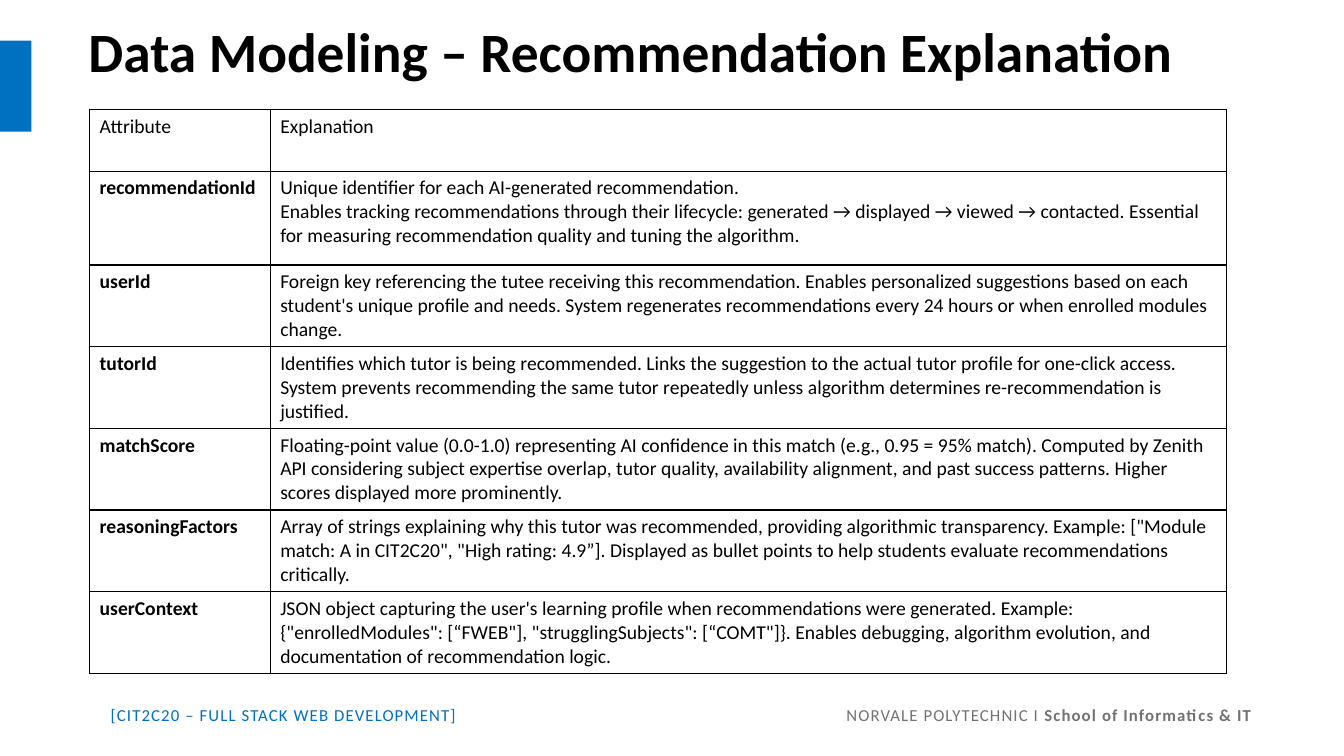
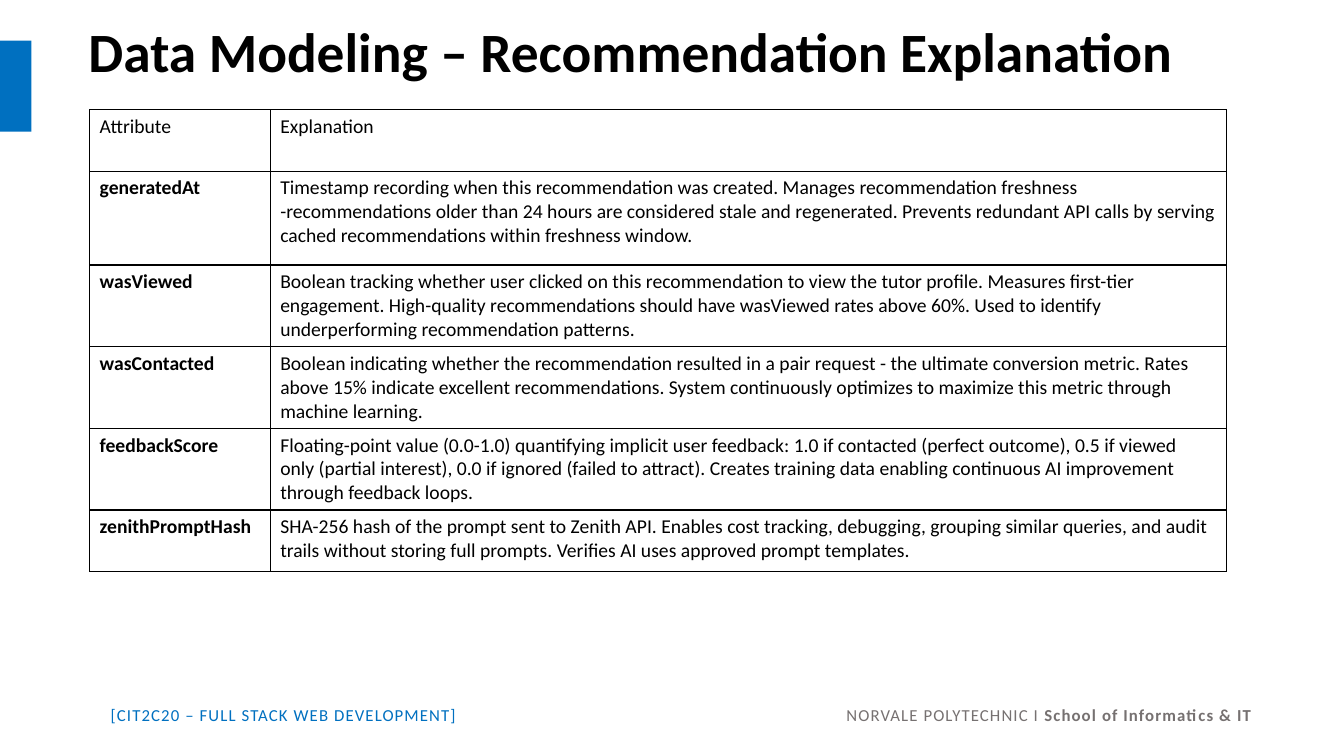
from dataclasses import dataclass

from lxml import etree
from pptx import Presentation
from pptx.dml.color import RGBColor
from pptx.enum import shapes, text
from pptx.oxml.ns import qn
from pptx.util import Pt


@dataclass(frozen=True)
class Theme:
    font: str = "Calibri"
    accent: RGBColor = RGBColor(0x00, 0x70, 0xC0)
    ink: RGBColor = RGBColor(0, 0, 0)
    muted: RGBColor = RGBColor(0x76, 0x71, 0x71)
    title_size: float = 39.6
    table_size: float = 14
    footer_size: float = 12
    footer_spacing: float = 0.8
    border_width: float = 1


THEME = Theme()
TITLE = "Data Modeling – Recommendation Explanation"
COURSE = "[CIT2C20 – FULL STACK WEB DEVELOPMENT]"
COLLEGE = "NORVALE POLYTECHNIC I "
SCHOOL = "School of Informatics & IT"
HEADINGS = ("Attribute", "Explanation")
COLUMN_WIDTHS = (129, 683)
ROW_HEIGHT = 43.8
FIRST_ATTRIBUTE_HEIGHT = 67

ATTRIBUTE_PAGES = [
    [
        ("recommendationId",
         "Unique identifier for each AI-generated recommendation.\n"
         "Enables tracking recommendations through their lifecycle: generated → displayed → "
         "viewed → contacted. Essential for measuring recommendation quality and tuning the "
         "algorithm."),
        ("userId",
         "Foreign key referencing the tutee receiving this recommendation. Enables personalized "
         "suggestions based on each student's unique profile and needs. System regenerates "
         "recommendations every 24 hours or when enrolled modules change."),
        ("tutorId",
         "Identifies which tutor is being recommended. Links the suggestion to the actual tutor "
         "profile for one-click access. System prevents recommending the same tutor repeatedly "
         "unless algorithm determines re-recommendation is justified."),
        ("matchScore",
         "Floating-point value (0.0-1.0) representing AI confidence in this match (e.g., 0.95 = "
         "95% match). Computed by Zenith API considering subject expertise overlap, tutor "
         "quality, availability alignment, and past success patterns. Higher scores displayed "
         "more prominently."),
        ("reasoningFactors",
         "Array of strings explaining why this tutor was recommended, providing algorithmic "
         "transparency. Example: [\"Module match: A in CIT2C20\", \"High rating: 4.9”]. "
         "Displayed as bullet points to help students evaluate recommendations critically."),
        ("userContext",
         "JSON object capturing the user's learning profile when recommendations were "
         "generated. Example: {\"enrolledModules\": [“FWEB\"], \"strugglingSubjects\": "
         "[“COMT\"]}. Enables debugging, algorithm evolution, and documentation of "
         "recommendation logic."),
    ],
    [
        ("generatedAt",
         "Timestamp recording when this recommendation was created. Manages recommendation "
         "freshness -recommendations older than 24 hours are considered stale and regenerated. "
         "Prevents redundant API calls by serving cached recommendations within freshness "
         "window."),
        ("wasViewed",
         "Boolean tracking whether user clicked on this recommendation to view the tutor "
         "profile. Measures first-tier engagement. High-quality recommendations should have "
         "wasViewed rates above 60%. Used to identify underperforming recommendation patterns."),
        ("wasContacted",
         "Boolean indicating whether the recommendation resulted in a pair request - the "
         "ultimate conversion metric. Rates above 15% indicate excellent recommendations. "
         "System continuously optimizes to maximize this metric through machine learning."),
        ("feedbackScore",
         "Floating-point value (0.0-1.0) quantifying implicit user feedback: 1.0 if contacted "
         "(perfect outcome), 0.5 if viewed only (partial interest), 0.0 if ignored (failed to "
         "attract). Creates training data enabling continuous AI improvement through feedback "
         "loops."),
        ("zenithPromptHash",
         "SHA-256 hash of the prompt sent to Zenith API. Enables cost tracking, debugging, "
         "grouping similar queries, and audit trails without storing full prompts. Verifies AI "
         "uses approved prompt templates."),
    ],
]


def style(paragraph, size, color, bold=False):
    font = paragraph.font
    font.name, font.size, font.bold = THEME.font, Pt(size), bold
    font.color.rgb = color


def add_band(slide):
    band = slide.shapes.add_shape(
        shapes.MSO_SHAPE.RECTANGLE, 0, Pt(29), Pt(22.5), Pt(65))
    band.shadow.inherit = False
    band.fill.solid()
    band.fill.fore_color.rgb = THEME.accent
    band.line.fill.background()


def add_title(slide, wording):
    title = slide.shapes.title
    title.left, title.top, title.width, title.height = Pt(56), 0, Pt(829), Pt(78.5)
    frame = title.text_frame
    frame.text = wording
    frame.vertical_anchor = text.MSO_ANCHOR.MIDDLE
    heading = frame.paragraphs[0]
    heading.alignment = text.PP_ALIGN.LEFT
    heading.line_spacing = 0.9
    style(heading, THEME.title_size, THEME.ink, bold=True)


def add_footer(slide, left, width, color, alignment, parts):
    footer = slide.shapes.add_textbox(Pt(left), Pt(499.7), Pt(width), Pt(21.8))
    footer.text_frame.word_wrap = True
    line = footer.text_frame.paragraphs[0]
    line.alignment = alignment
    style(line, THEME.footer_size, color)
    for wording, bold in parts:
        run = line.add_run()
        run.text = wording
        run.font.bold = bold
        run._r.get_or_add_rPr().set("spc", str(round(THEME.footer_spacing * 100)))


def add_borders(cell):
    properties = cell._tc.get_or_add_tcPr()
    for position, side in enumerate(("lnL", "lnR", "lnT", "lnB")):
        border = etree.Element(qn(f"a:{side}"), w=str(Pt(THEME.border_width)))
        fill = etree.SubElement(border, qn("a:solidFill"))
        etree.SubElement(fill, qn("a:srgbClr"), val=str(THEME.ink))
        properties.insert(position, border)


def fill_cell(cell, wording, bold):
    cell.text = wording
    cell.fill.background()
    add_borders(cell)
    for paragraph in cell.text_frame.paragraphs:
        style(paragraph, THEME.table_size, THEME.ink, bold)


def add_attribute_table(slide, attributes):
    rows = [HEADINGS, *attributes]
    heights = [ROW_HEIGHT] * len(rows)
    heights[1] = FIRST_ATTRIBUTE_HEIGHT
    table = slide.shapes.add_table(
        len(rows), len(HEADINGS), Pt(64), Pt(78.5),
        Pt(sum(COLUMN_WIDTHS)), Pt(sum(heights))).table
    table.first_row = table.horz_banding = False
    for column, width in zip(table.columns, COLUMN_WIDTHS):
        column.width = Pt(width)
    for row_index, (row, height) in enumerate(zip(rows, heights)):
        table.rows[row_index].height = Pt(height)
        for column_index, wording in enumerate(row):
            is_attribute = row_index > 0 and column_index == 0
            fill_cell(table.cell(row_index, column_index), wording, is_attribute)


def add_attribute_slide(deck, attributes):
    slide = deck.slides.add_slide(deck.slide_layouts.get_by_name("Title Only"))
    add_band(slide)
    add_title(slide, TITLE)
    add_attribute_table(slide, attributes)
    add_footer(slide, 72, 400, THEME.accent, text.PP_ALIGN.LEFT, [(COURSE, False)])
    add_footer(slide, 501, 400, THEME.muted, text.PP_ALIGN.RIGHT,
               [(COLLEGE, False), (SCHOOL, True)])


def main():
    deck = Presentation()
    deck.slide_width, deck.slide_height = Pt(960), Pt(540)
    for attributes in ATTRIBUTE_PAGES:
        add_attribute_slide(deck, attributes)
    deck.save("out.pptx")


if __name__ == "__main__":
    main()
